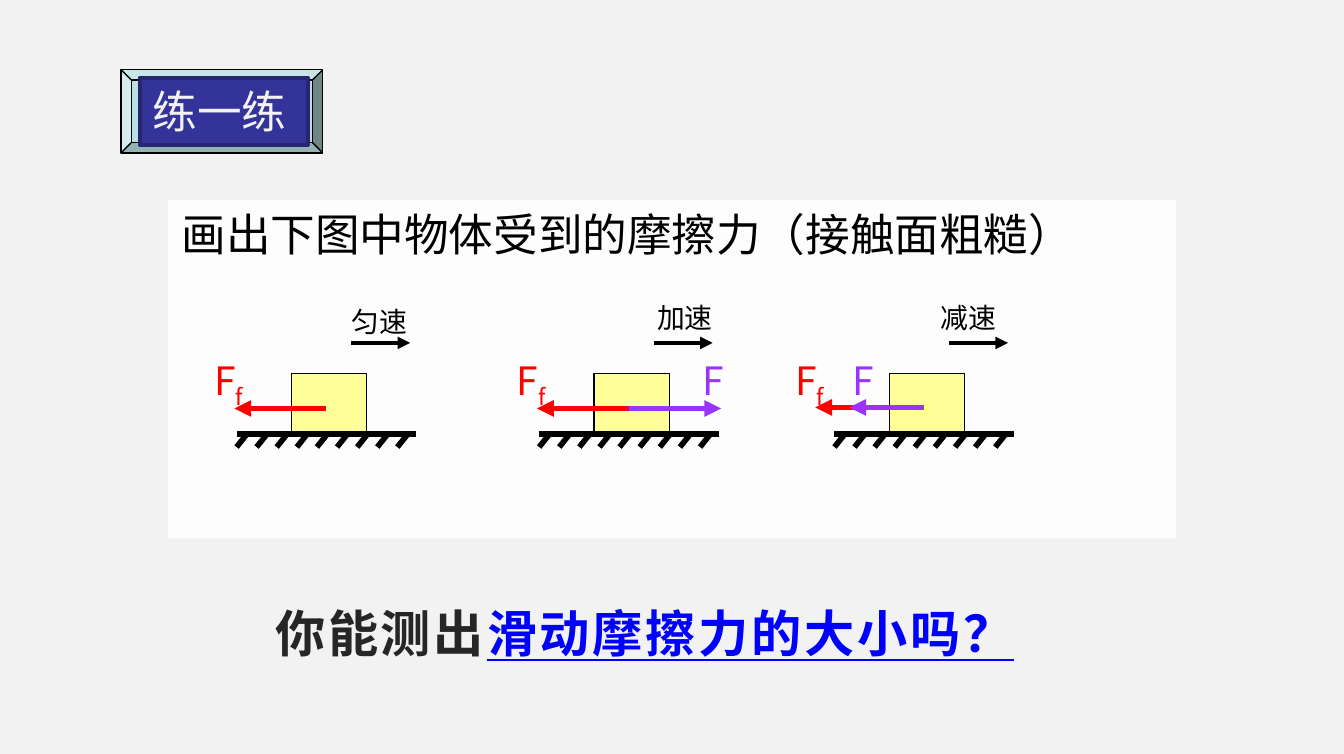
from pptx import Presentation
from pptx.dml.color import RGBColor
from pptx.enum.shapes import MSO_CONNECTOR, MSO_SHAPE
from pptx.enum.text import MSO_ANCHOR, PP_ALIGN
from pptx.oxml.ns import qn
from pptx.util import Cm, Pt
from lxml import etree

RECT, BEVEL = MSO_SHAPE.RECTANGLE, MSO_SHAPE.BEVEL
LINE = MSO_CONNECTOR.STRAIGHT
TOP, MIDDLE = MSO_ANCHOR.TOP, MSO_ANCHOR.MIDDLE
LEFT = PP_ALIGN.LEFT
BLACK, RED, VIOLET = "000000", "FF0000", "9933FF"


def color(text):
    return RGBColor.from_string(text)


class Board:
    """Holds the slide and the style its elements share."""

    face = "Noto Sans CJK SC"

    def __init__(self, slide, back):
        self.slide = slide
        self.paint(slide.background, back)

    def paint(self, item, hue):
        item.fill.solid()
        item.fill.fore_color.rgb = color(hue)

    def shape(self, kind, box, fill, edge=None, width=0.75):
        item = self.slide.shapes.add_shape(kind, *map(Cm, box))
        item.shadow.inherit = False
        self.paint(item, fill)
        if edge:
            item.line.color.rgb = color(edge)
            item.line.width = Pt(width)
        else:
            item.line.fill.background()
        return item

    def line(self, start, end, hue=BLACK, width=3, arrow=False):
        item = self.slide.shapes.add_connector(LINE, *map(Cm, (*start, *end)))
        item.line.color.rgb = color(hue)
        item.line.width = Pt(width)
        props = item._element.spPr
        if arrow:
            etree.SubElement(props.find(qn("a:ln")), qn("a:tailEnd"), type="triangle")
        etree.SubElement(props, qn("a:effectLst"))

    def words(self, item, runs, size, anchor=TOP):
        """Fill a shape with runs, each a text, a colour and a dict of font values."""
        frame = item.text_frame
        frame.word_wrap = True
        frame.vertical_anchor = anchor
        para = frame.paragraphs[0]
        para.alignment = LEFT
        for text, hue, style in runs:
            run = para.add_run()
            run.text = text
            font = run.font
            for key, value in {"name": self.face, "size": Pt(size), **style}.items():
                setattr(font, key, value)
            font.color.rgb = color(hue)
            etree.SubElement(run._r.rPr, qn("a:ea"), typeface=self.face)
        return frame

    def label(self, box, runs, size, anchor=TOP):
        item = self.slide.shapes.add_textbox(*map(Cm, box))
        return self.words(item, runs, size, anchor)

    def force(self, start, reach, hue, shift, sub=""):
        """Draw a force arrow and its name, shifted sideways from the tip."""
        x, y = start
        tip = x + reach
        self.line(start, (tip, y), hue, arrow=True)
        runs = [("F", hue, {})]
        if sub:
            runs.append((sub, hue, {}))
        frame = self.label((tip + shift, 6.62, 1.27 if sub else 0.94, 1.14), runs, 20.9)
        if sub:
            frame.paragraphs[0].runs[1]._r.rPr.set("baseline", "-25000")

    def drag(self, start, reach):
        self.force(start, -reach, RED, -0.63, "f")

    def block(self, x, speed, at):
        """Draw a block on rough ground, with its motion arrow and label."""
        floor = 8.2
        self.shape(RECT, (x + 1.04, 7.06, 1.42, 1.12), "FFFF99", BLACK)
        self.line((x, floor), (x + 3.4, floor))
        for i in range(9):
            top = x + 0.2 + i * 0.38
            self.line((top, floor), (top - 0.2, floor + 0.25))
        self.line((x + 2.17, 6.48), (x + 3.28, 6.48), width=2.25, arrow=True)
        self.label((*at, 2, 0.9), [(speed, BLACK, {})], 14.9)


def main():
    deck = Presentation()
    deck.slide_width, deck.slide_height = Cm(25.4), Cm(14.25)
    board = Board(deck.slides.add_slide(deck.slide_layouts[6]), "F2F2F2")

    panel = board.shape(RECT, (3.18, 3.78, 19.05, 6.4), "FFFFFF")
    tone = panel._element.spPr.find(qn("a:solidFill"))[0]
    etree.SubElement(tone, qn("a:alpha"), val="91000")
    board.words(panel, [("画出下图中物体受到的摩擦力（接触面粗糙）", BLACK, {})], 23.9)

    steady, faster, slower = 4.47, 10.19, 15.77
    mid = 1.7
    board.block(steady, "匀速", (6.4, 5.64))
    board.drag((steady + mid, 7.72), 1.74)

    board.block(faster, "加速", (12.17, 5.56))
    board.force((faster + mid, 7.72), 1.74, VIOLET, -0.61)
    board.drag((faster + mid, 7.72), 1.74)

    board.drag((slower + mid, 7.7), 2.06)
    board.block(slower, "减速", (17.53, 5.56))
    board.force((slower + mid, 7.7), -1.42, VIOLET, -0.18)

    board.shape(BEVEL, (2.29, 1.32, 3.81, 1.57), "BBE0E3", BLACK)
    badge = board.shape(RECT, (2.64, 1.47, 3.18, 1.27), "333399", "262671", 2)
    board.words(badge, [("练一练", "F2F2F2", {})], 23.9)

    bold = {"bold": True}
    runs = [("你能测出", "262626", bold),
            ("滑动摩擦力的大小吗？", "0000FF", {**bold, "underline": True})]
    frame = board.label((5, 11.07, 14.96, 1.42), runs, 26.9, MIDDLE)
    sides = {"margin_left": 0.2, "margin_top": 0, "margin_right": 0.18, "margin_bottom": 0}
    for key, value in sides.items():
        setattr(frame, key, Cm(value))
    para = frame.paragraphs[0]
    para.line_spacing, para.space_after = 1.3, Pt(10)
    for run in para.runs:
        run._r.rPr.set("spc", "150")

    deck.save("out.pptx")


if __name__ == "__main__":
    main()
